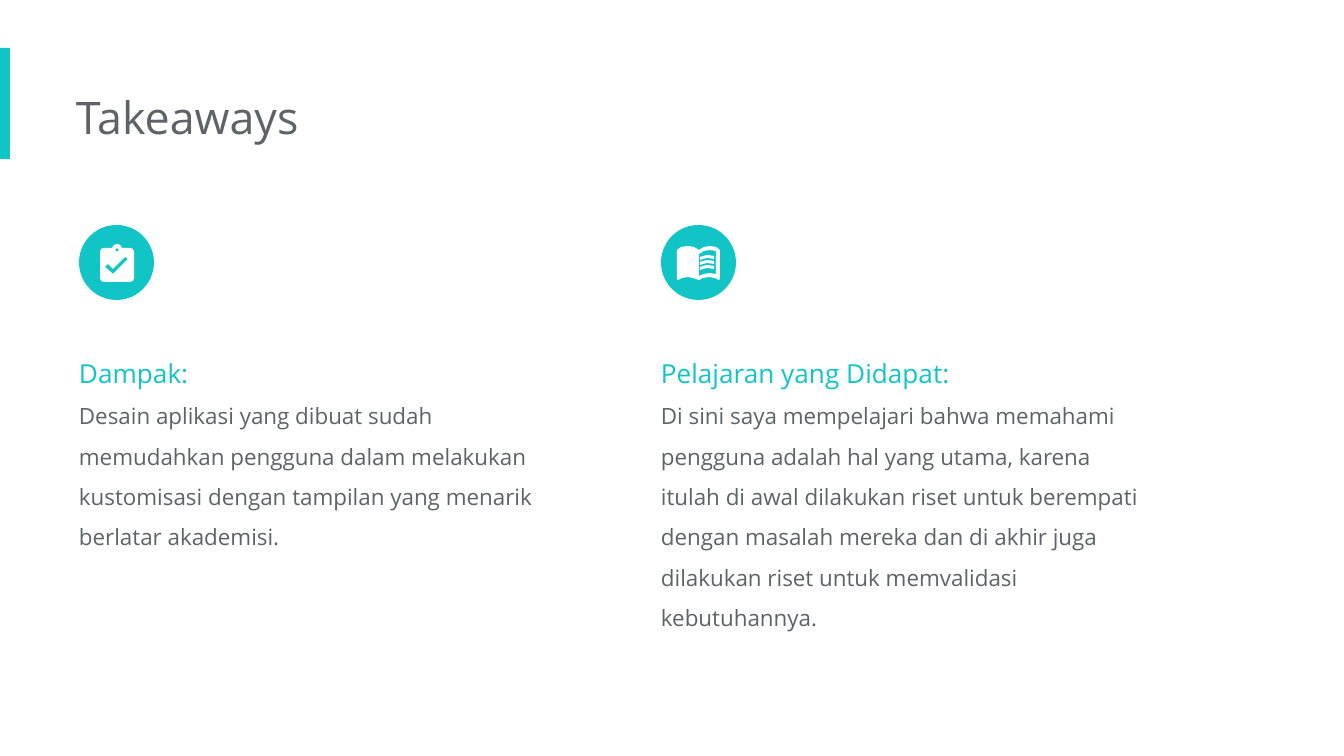
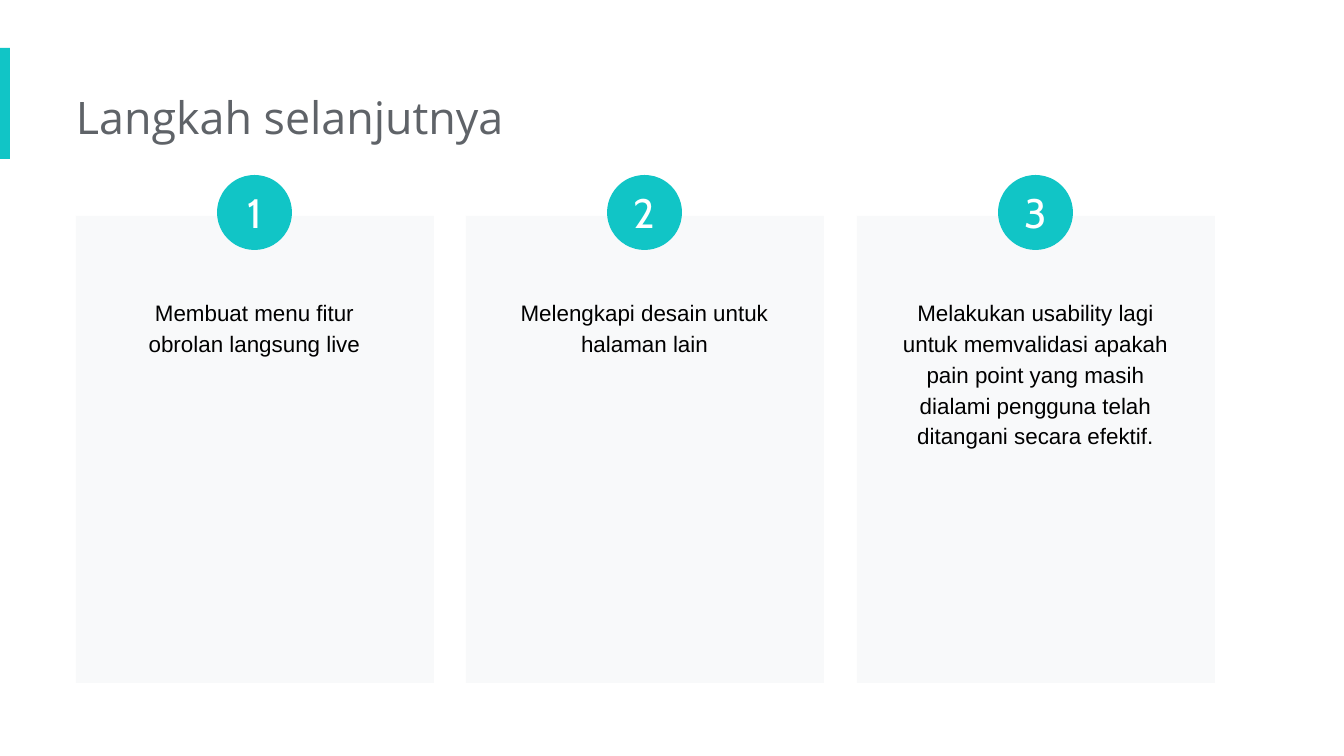
"""Builds the takeaways and next-steps slides."""
from pptx import Presentation, util as u
from pptx.dml.color import RGBColor
from pptx.enum import shapes, text

PX = 914400 / 134.4
TEAL, GREY, PALE, WHITE, BLACK = "11C5C6", "5F6368", "F8F9FA", "FFFFFF", "000000"
RECT, OVAL = shapes.MSO_SHAPE.RECTANGLE, shapes.MSO_SHAPE.OVAL
CENTER = text.PP_ALIGN.CENTER
DOT = 75


def paint(sp, color):
    sp.shadow.inherit = False
    sp.fill.solid()
    sp.fill.fore_color.rgb = RGBColor.from_string(color)
    sp.line.fill.background()
    return sp


def write(sp, lines, font, insets, align=None, spacing=None):
    tf = sp.text_frame
    tf.word_wrap = True
    tf.margin_left, tf.margin_top, tf.margin_right, tf.margin_bottom = [
        u.Emu(int(n * PX)) for n in insets]
    tf.text = "\n".join(line for line, size, color in lines)
    for p, (line, size, color) in zip(tf.paragraphs, lines):
        p.alignment = align
        p.line_spacing = spacing
        for r in p.runs:
            r.font.name = font
            r.font.size = u.Pt(size)
            r.font.color.rgb = RGBColor.from_string(color)
    return tf


prs = Presentation()
prs.slide_width = u.Emu(int(1344 * PX))
prs.slide_height = u.Emu(int(756 * PX))

slides = []
for title in ("Takeaways", "Langkah selanjutnya"):
    s = prs.slides.add_slide(prs.slide_layouts[6])
    paint(s.shapes.add_shape(RECT, *[int(n * PX) for n in (0, 48, 10, 111)]), TEAL)
    sp = s.shapes.add_textbox(*[int(n * PX) for n in (76, 77, 724, 82)])
    tf = write(sp, [(title, 24, GREY)], "Open Sans", (0, 13, 13, 13))
    tf.auto_size = text.MSO_AUTO_SIZE.SHAPE_TO_FIT_TEXT
    slides.append(s)
takeaways, steps = slides

columns = [
    (79, 238, "Dampak:",
     "Desain aplikasi yang dibuat sudah memudahkan pengguna dalam melakukan "
     "kustomisasi dengan tampilan yang menarik berlatar akademisi."),
    (661, 319, "Pelajaran yang Didapat:",
     "Di sini saya mempelajari bahwa memahami pengguna adalah hal yang utama, "
     "karena itulah di awal dilakukan riset untuk berempati dengan masalah mereka "
     "dan di akhir juga dilakukan riset untuk memvalidasi kebutuhannya."),
]
for left, height, heading, body in columns:
    sp = takeaways.shapes.add_textbox(*[int(n * PX) for n in (left, 329, 507, height)])
    tf = write(sp, [(heading, 14, TEAL), (body, 12, GREY)], "Open Sans",
               (0, 13, 13, 13), spacing=1.5)
    tf.auto_size = text.MSO_AUTO_SIZE.SHAPE_TO_FIT_TEXT
    paint(takeaways.shapes.add_shape(
        OVAL, *[int(n * PX) for n in (left, 225, DOT, DOT)]), TEAL)

clipboard = [
    [(130, 248), (122, 248), (120, 245), (117, 244), (114, 245), (112, 248),
     (104, 248), (101, 249), (100, 252), (100, 278), (101, 281), (104, 282),
     (130, 282), (133, 281), (134, 278), (134, 252), (133, 249)],
    [(117, 248), (119, 250), (117, 252), (115, 250)],
    [(113, 274), (105, 267), (108, 264), (113, 269), (125, 257), (128, 259)],
]
book = [
    [(677, 250), (681, 247), (688, 246), (694, 247), (699, 250), (704, 247),
     (710, 246), (716, 247), (720, 250), (720, 279), (719, 280), (715, 278),
     (709, 277), (703, 278), (699, 280), (693, 278), (688, 277), (682, 278),
     (678, 280), (677, 279)],
    [(699, 254), (704, 251), (710, 250), (716, 251), (716, 274), (710, 273),
     (704, 274), (699, 276)],
]
page_line = [(700, 257), (707, 255), (714, 256), (714, 259), (707, 258), (700, 260)]
page_lines = [[[(x, y + dy) for x, y in page_line]] for dy in (0, 5, 10)]
for contours in [clipboard, book] + page_lines:
    fb = takeaways.shapes.build_freeform(*contours[0][0], scale=PX)
    fb.add_line_segments(contours[0][1:])
    for contour in contours[1:]:
        fb.move_to(*contour[0])
        fb.add_line_segments(contour[1:])
    paint(fb.convert_to_shape(), WHITE)

cards = [
    (90, "Membuat menu fitur obrolan langsung live"),
    (90, "Melengkapi desain untuk halaman lain"),
    (183, "Melakukan usability lagi untuk memvalidasi apakah pain point yang masih "
          "dialami pengguna telah ditangani secara efektif."),
]
card_w = 358
for i, (height, step) in enumerate(cards):
    left = 76 + i * 781 // 2
    paint(steps.shapes.add_shape(
        RECT, *[int(n * PX) for n in (left, 216, card_w, 467)]), PALE)
    sp = steps.shapes.add_textbox(*[int(n * PX) for n in (left + 28, 282, 301, height)])
    tf = write(sp, [(step, 12, BLACK)], "Arial", (13, 13, 13, 13), CENTER, 1.15)
    tf.auto_size = text.MSO_AUTO_SIZE.SHAPE_TO_FIT_TEXT
    dot_left = left + (card_w - DOT) // 2
    sp = paint(steps.shapes.add_shape(
        OVAL, *[int(n * PX) for n in (dot_left, 175, DOT, DOT)]), TEAL)
    tf = write(sp, [(str(i + 1), 22, WHITE)], "Cabin", (0, 0, 0, 0), CENTER)
    tf.vertical_anchor = text.MSO_ANCHOR.MIDDLE

prs.save("out.pptx")
